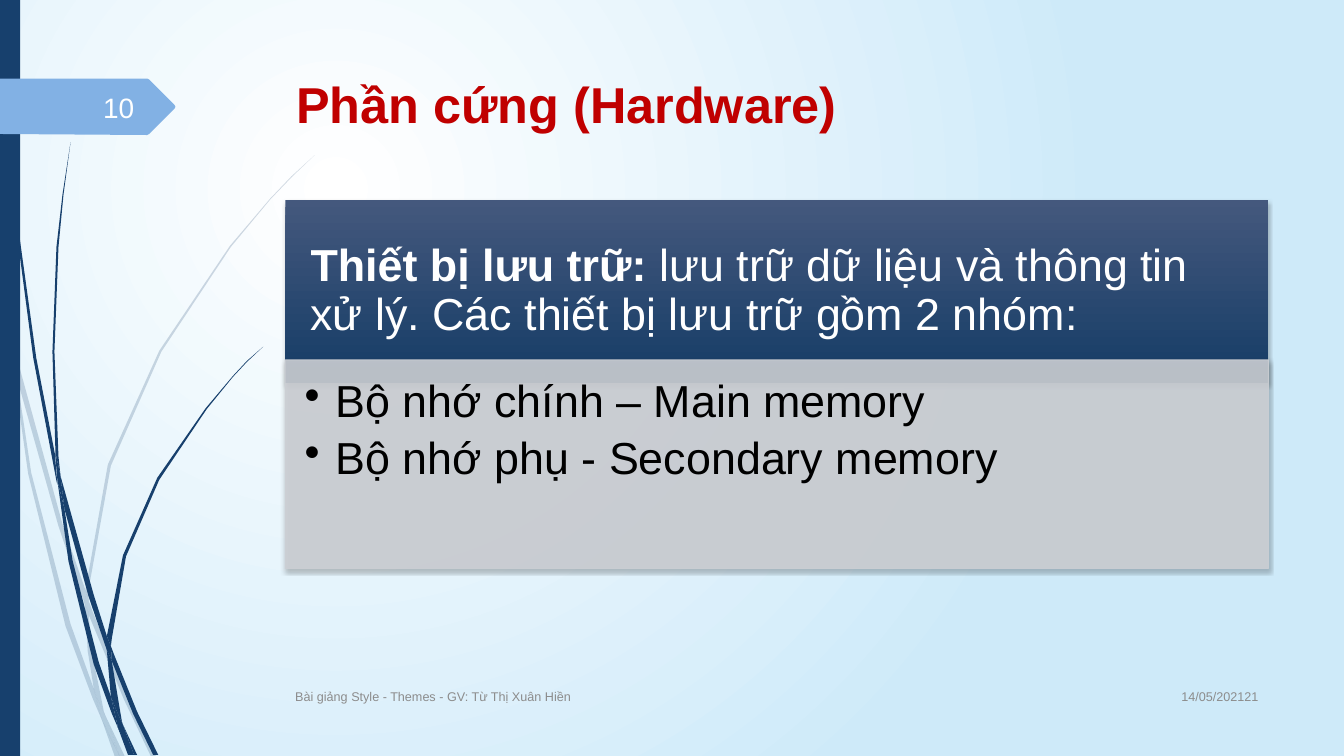
import dataclasses

import lxml.etree
import pptx
import pptx.dml.color
import pptx.enum.shapes
import pptx.enum.text
import pptx.oxml.ns
import pptx.util

EMU_PER_PX = 9144
ALIGN = pptx.enum.text.PP_ALIGN
ANCHOR = pptx.enum.text.MSO_ANCHOR


@dataclasses.dataclass(frozen=True)
class Theme:
    font: str = "Arial"
    navy: str = "17406D"
    sky: str = "82B1E4"
    red: str = "C00000"
    white: str = "FFFFFF"
    page_white: str = "FEFFFF"
    black: str = "000000"
    grey: str = "8C8C8C"
    panel: str = "CCCFD4"
    backdrop: tuple = ("FFFFFF", "CEEAF9")
    header: tuple = ("44587D", "153C66")
    title_size: int = 36
    body_size: int = 32
    page_size: int = 20
    footer_size: int = 9


THEME = Theme()

PALE_STRANDS = [
    "11 350 9 322 0 282 0 299 10 344",
    "58 522 84 599 85 586 62 520 14 345 17 376",
    "92 607 88 596 88 610 123 694 150 751 155 751 127 692",
    "119 751 124 751 105 711",
    "93 683 70 619 31 469 17 376 11 350 28 470 65 621 92 693 101 714 99 707",
    "84 599 87 646 93 683 96 692 105 711 103 706 91 646 88 610 88 608",
    "88 584 110 462 160 349 229 245 268 198 290 175 312 154 289 175 268 197 228 244 158 348 107 461 "
    "85 584 85 586 88 596",
    "101 714 114 751 119 751",
    "88 608 88 610 88 596 85 586 84 599",
    "96 692 93 683 99 707 101 714 119 751 105 711",
]

DARK_STRANDS = [
    "7 110 17 233 33 355 56 477 57 481 55 457 55 453 36 355 19 232 8 109 5 48 4 0 3 0 4 48",
    "88 592 106 645 106 633 106 631 93 590 60 472 64 505",
    "113 649 110 641 111 656 132 708 152 749 157 749 136 706",
    "110 691 98 657 72 556 64 505 57 477 68 557 93 659 111 708 117 722 116 717",
    "60 472 58 453 54 349 58 245 63 193 70 141 62 193 56 245 52 349 55 449",
    "133 749 136 749 122 719",
    "57 477 64 505 60 472 55 449 55 453",
    "111 633 125 552 158 476 205 406 231 374 245 359 261 344 245 358 231 373 204 405 156 474 122 551 "
    "106 631 110 641",
    "117 722 127 749 131 749",
    "106 645 110 691 116 706 122 719 121 716 111 656 109 651",
    "106 645 109 651 111 656 110 641 106 631 106 633",
    "116 706 110 691 116 717 117 722 130 749 133 749 122 719",
]

PAGE_TAG = "0 78 146 78 148 79 173 104 174 106 173 108 148 133 146 134 0 133"


def px(length):
    return pptx.util.Emu(length * EMU_PER_PX)


def rgb(colour):
    return pptx.dml.color.RGBColor.from_string(colour)


def set_values(target, values):
    for name, value in values.items():
        setattr(target, name, value)


def add_element(parent, tag, **attributes):
    element = lxml.etree.SubElement(parent, pptx.oxml.ns.qn(tag))
    for name, value in attributes.items():
        element.set(name, str(value))
    return element


def set_gradient(fill, colours):
    fill.gradient()
    for position, (stop, colour) in enumerate(zip(fill.gradient_stops, colours)):
        stop.color.rgb = rgb(colour)
        stop.position = position


def set_backdrop(slide):
    set_gradient(slide.background.fill, THEME.backdrop)
    gradient = next(slide.element.iter(pptx.oxml.ns.qn("a:gradFill")))
    gradient.remove(gradient.find(pptx.oxml.ns.qn("a:lin")))
    circle = add_element(gradient, "a:path", path="circle")
    add_element(circle, "a:fillToRect", l=50000, t=50000, r=100000, b=100000)


def set_opacity(shape, percent):
    for colour in shape.element.spPr.iter(pptx.oxml.ns.qn("a:srgbClr")):
        add_element(colour, "a:alpha", val=percent * 1000)


def add_soft_shadow(shape):
    effects = shape.element.spPr.find(pptx.oxml.ns.qn("a:effectLst"))
    shadow = add_element(effects, "a:outerShdw", blurRad=pptx.util.Pt(3), dist=pptx.util.Pt(2),
                         dir=5400000, algn="ctr", rotWithShape=0)
    colour = add_element(shadow, "a:srgbClr", val=THEME.black)
    add_element(colour, "a:alpha", val=25000)


def paint(shape, colour):
    shape.shadow.inherit = False
    shape.fill.solid()
    shape.fill.fore_color.rgb = rgb(colour)
    shape.line.fill.background()


def add_outline(shapes, outline, colour):
    lengths = [px(int(number)) for number in outline.split()]
    start, *others = zip(lengths[::2], lengths[1::2])
    builder = shapes.build_freeform(*start, scale=1.0)
    builder.add_line_segments(others, close=True)
    shape = builder.convert_to_shape()
    paint(shape, colour)
    return shape


def add_strands(slide, strands, opacity=100):
    group = slide.shapes.add_group_shape()
    for strand in strands:
        shape = add_outline(group.shapes, strand, THEME.navy)
        if opacity < 100:
            set_opacity(shape, opacity)


def add_rectangle(slide, box, colour):
    shape = slide.shapes.add_shape(pptx.enum.shapes.MSO_SHAPE.RECTANGLE, *map(px, box))
    paint(shape, colour)
    return shape


def add_bullet(paragraph):
    properties = paragraph._p.get_or_add_pPr()
    for name, value in {"marL": px(31), "indent": px(-31)}.items():
        properties.set(name, str(value))
    add_element(properties, "a:buChar", char="•")


def add_text(slide, box, paragraphs, size, colour, anchor=ANCHOR.MIDDLE, insets=(10, 5, 10, 5),
             layout=None, bullet=False):
    frame = slide.shapes.add_textbox(*map(px, box)).text_frame
    sides = ("margin_left", "margin_top", "margin_right", "margin_bottom")
    set_values(frame, {"word_wrap": True, "vertical_anchor": anchor, **dict(zip(sides, map(px, insets)))})
    for index, runs in enumerate(paragraphs):
        paragraph = frame.add_paragraph() if index else frame.paragraphs[0]
        set_values(paragraph, layout or {})
        if bullet:
            add_bullet(paragraph)
        for text, bold in runs:
            run = paragraph.add_run()
            run.text = text
            set_values(run.font, {"name": THEME.font, "size": pptx.util.Pt(size), "bold": bold})
            run.font.color.rgb = rgb(colour)


def add_storage_panel(slide):
    header_box, body_box = (283, 198, 975, 182), (283, 357, 975, 207)
    header = add_rectangle(slide, header_box, THEME.navy)
    set_gradient(header.fill, THEME.header)
    header.fill.gradient_angle = 270
    add_soft_shadow(header)
    heading = [("Thiết bị lưu trữ: ", True),
               ("lưu trữ dữ liệu và thông tin xử lý. Các thiết bị lưu trữ gồm 2 nhóm:", False)]
    add_text(slide, header_box, [heading], THEME.body_size, THEME.white,
             insets=(25, 14, 25, 14), layout={"line_spacing": 0.9})
    body = add_rectangle(slide, body_box, THEME.panel)
    body.line.color.rgb = rgb(THEME.panel)
    body.line.width = pptx.util.Pt(0.75)
    set_opacity(body, 90)
    add_soft_shadow(body)
    groups = [[("Bộ nhớ chính – Main memory", False)], [("Bộ nhớ phụ - Secondary memory", False)]]
    add_text(slide, body_box, groups, THEME.body_size, THEME.black, ANCHOR.TOP, (19, 19, 25, 28),
             {"level": 1, "line_spacing": 0.9, "space_after": pptx.util.Pt(6)}, bullet=True)


def main():
    presentation = pptx.Presentation()
    set_values(presentation, {"slide_width": px(1333), "slide_height": px(750)})
    slide = presentation.slides.add_slide(presentation.slide_layouts[6])
    set_backdrop(slide)
    add_strands(slide, PALE_STRANDS, opacity=20)
    add_strands(slide, DARK_STRANDS)
    add_rectangle(slide, (0, 0, 20, 750), THEME.navy)
    add_outline(slide.shapes, PAGE_TAG, THEME.sky)
    add_text(slide, (284, 68, 975, 105), [[("Phần cứng (Hardware)", True)]],
             THEME.title_size, THEME.red, ANCHOR.TOP)
    add_storage_panel(slide)
    right = {"alignment": ALIGN.RIGHT}
    add_text(slide, (1133, 670, 125, 41), [[("14/05/202121", False)]],
             THEME.footer_size, THEME.grey, layout=right)
    add_text(slide, (283, 671, 833, 40), [[("Bài giảng Style - Themes - GV: Từ Thị Xuân Hiền", False)]],
             THEME.footer_size, THEME.grey)
    add_text(slide, (58, 86, 85, 40), [[("10", False)]], THEME.page_size, THEME.page_white, layout=right)
    presentation.save("out.pptx")


if __name__ == "__main__":
    main()
